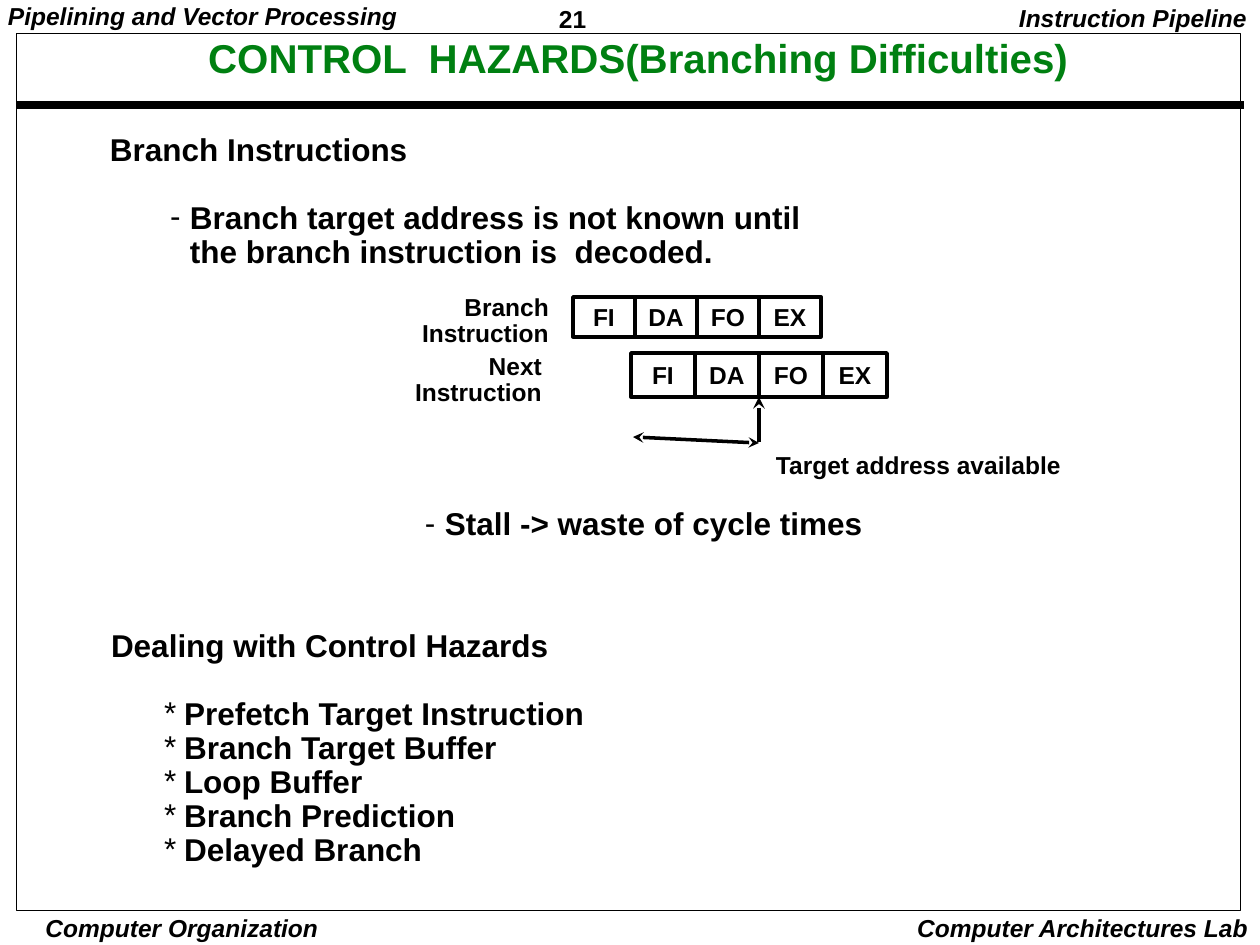
from lxml import etree
from pptx import Presentation
from pptx import util as u
from pptx.dml.color import RGBColor
from pptx.enum import shapes, text
from pptx.oxml.ns import qn

PX = 914400 / 126
INK = {"black": "000000", "green": "008011"}
ALIGN = {"l": text.PP_ALIGN.LEFT, "c": text.PP_ALIGN.CENTER, "r": text.PP_ALIGN.RIGHT}


def write(box, at, lines, size=14, ink="black", italic=False, align="l",
          lead=0.9, inset=(13, 6), wrap=False, middle=False):
    """Place a box and fill it; a line is (words, mark, left px, gap above in pt)."""
    box.left, box.top, box.width, box.height = [round(v * PX) for v in at]
    frame = box.text_frame
    frame.word_wrap = wrap
    frame.auto_size = text.MSO_AUTO_SIZE.NONE
    frame.vertical_anchor = text.MSO_ANCHOR.MIDDLE if middle else text.MSO_ANCHOR.TOP
    frame.margin_left = frame.margin_right = round(inset[0] * PX)
    frame.margin_top = frame.margin_bottom = round(inset[1] * PX)
    for i, (words, mark, left, gap) in enumerate(lines):
        para = frame.paragraphs[0] if i == 0 else frame.add_paragraph()
        para.alignment = ALIGN[align]
        para.line_spacing = lead
        para.space_before, para.space_after = u.Pt(gap), u.Pt(0)
        props = para._p.get_or_add_pPr()
        props.set("marL", str(round(left * PX)))
        props.set("indent", str(round(-20 * PX) if mark else 0))
        if mark:
            etree.SubElement(props, qn("a:buChar"), char=mark)
        else:
            etree.SubElement(props, qn("a:buNone"))
        run = para.add_run()
        run.text = words
        font = run.font
        font.name, font.size = "Arial", u.Pt(size)
        font.bold, font.italic = True, italic
        font.color.rgb = RGBColor.from_string(INK[ink])


def draw(ends, width=2, heads=()):
    """Add a black line, with arrowheads at the named ends."""
    line = slide.shapes.add_connector(
        shapes.MSO_CONNECTOR.STRAIGHT, *[round(v * PX) for v in ends])
    line.line.width = u.Pt(width)
    line.line.color.rgb = RGBColor.from_string(INK["black"])
    for end in heads:
        etree.SubElement(line.line._get_or_add_ln(), qn("a:" + end), type="stealth")
    etree.SubElement(line._element.spPr, qn("a:effectLst"))
    return line


deck = Presentation()
deck.slide_width, deck.slide_height = u.Inches(10), u.Inches(7.5)
slide = deck.slides.add_slide(deck.slide_layouts[3])
title, top, low = slide.placeholders

# Page frame, then the two rows of pipeline stages
frames = []
for x, y, w, h, weight in [(16, 33, 1225, 878, 0.5),
                           (573, 297, 248, 40, 2),
                           (631, 353, 256, 44, 2)]:
    rect = slide.shapes.add_shape(
        shapes.MSO_SHAPE.RECTANGLE, *[round(v * PX) for v in (x, y, w, h)])
    rect.shadow.inherit = False
    rect.fill.background()
    rect.line.width = u.Pt(weight)
    rect.line.color.rgb = RGBColor.from_string(INK["black"])
    frames.append(rect)
    if weight < 2:
        draw((16, 105, 1244, 105), 4.5)
        continue
    step = w // 4
    for k, stage in enumerate(["FI", "DA", "FO", "EX"]):
        left = x + k * step
        if k:
            rule = draw((left, y, left, y + h))
            if k == 2:
                rule.begin_connect(rect, 0)
                rule.end_connect(rect, 2)
        write(slide.shapes.add_textbox(0, 0, 0, 0), (left, y + 4, step, h - 4),
              [(stage, None, 0, 0)], align="c", inset=(0, 0), wrap=True, middle=True)

# Arrows under the second row
draw((633, 437, 759, 443), heads=("headEnd", "tailEnd"))
rise = draw((759, 397, 759, 442), 2.25, ("headEnd",))
rise.begin_connect(frames[2], 2)

# Title and lists
write(title, (131, 35, 1016, 50),
      [("CONTROL  HAZARDS(Branching Difficulties)", None, 0, 0)],
      size=23, ink="green", align="c", inset=(9, 4), wrap=True, middle=True)
write(top, (97, 128, 800, 421), [
    ("Branch Instructions", None, 0, 0),
    ("Branch target address is not known until", "-", 80, 19.4),
    ("the branch instruction is  decoded.", None, 80, 0),
    ("Stall -> waste of cycle times", "-", 335, 136),
], size=18, wrap=True)
ways = ["Prefetch Target Instruction", "Branch Target Buffer", "Loop Buffer",
        "Branch Prediction", "Delayed Branch"]
write(low, (98, 624, 520, 285),
      [("Dealing with Control Hazards", None, 0, 0)]
      + [(way, "*", 73, 0 if i else 19.4) for i, way in enumerate(ways)],
      size=18, wrap=True)

# Labels, headers and footers
for at, words, form in [
    ((410, 289, 152, 66), "Branch\nInstruction", dict(align="r")),
    ((403, 348, 152, 66), "Next\nInstruction", dict(align="r")),
    ((763, 447, 312, 39), "Target address available", {}),
    ((550, 0, 136, 37), "21", dict(lead=1.0, inset=(9, 4), wrap=True)),
    ((-1, 0, 408, 34), "Pipelining and Vector Processing",
     dict(italic=True, inset=(9, 4))),
    ((1007, 0, 253, 39), "Instruction Pipeline", dict(italic=True, align="r")),
    ((42, 912, 280, 33), "Computer Organization",
     dict(italic=True, align="c", lead=1.0, inset=(4, 1))),
    ((905, 907, 356, 42), "Computer Architectures Lab",
     dict(italic=True, align="r", lead=1.0)),
]:
    write(slide.shapes.add_textbox(0, 0, 0, 0), at,
          [(line, None, 0, 0) for line in words.split("\n")], **form)

deck.save("out.pptx")
